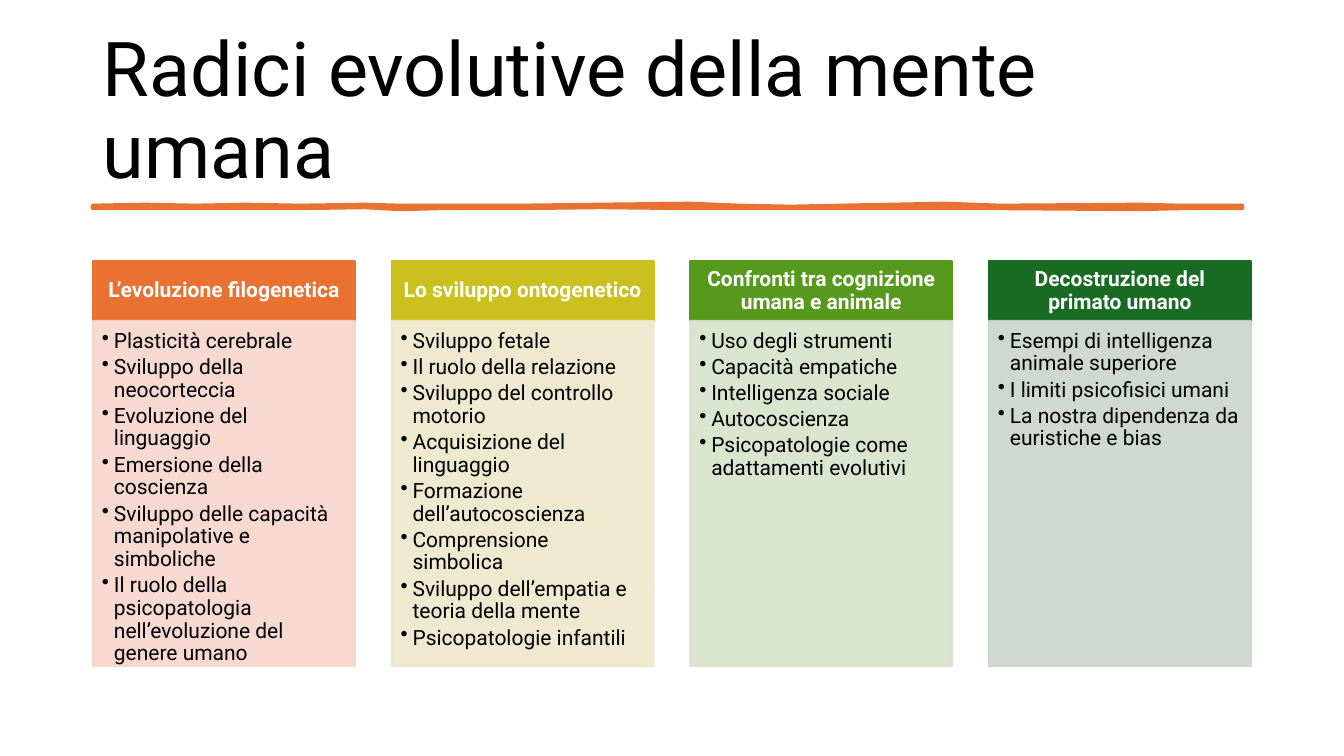
"""Build a slide on the evolutionary roots of the human mind in four columns."""
from lxml import etree
from pptx import Presentation
from pptx import util as u
from pptx.dml.color import RGBColor
from pptx.enum import shapes, text
from pptx.oxml.ns import qn

TITLE = "Radici evolutive della mente umana"
COLUMNS = [
    ("L’evoluzione filogenetica", "orange", [
        "Plasticità cerebrale",
        "Sviluppo della neocorteccia",
        "Evoluzione del linguaggio",
        "Emersione della coscienza",
        "Sviluppo delle capacità manipolative e simboliche",
        "Il ruolo della psicopatologia nell’evoluzione del genere umano",
    ]),
    ("Lo sviluppo ontogenetico", "yellow", [
        "Sviluppo fetale",
        "Il ruolo della relazione",
        "Sviluppo del controllo motorio",
        "Acquisizione del linguaggio",
        "Formazione dell’autocoscienza",
        "Comprensione simbolica",
        "Sviluppo dell’empatia e teoria della mente",
        "Psicopatologie infantili",
    ]),
    ("Confronti tra cognizione umana e animale", "green", [
        "Uso degli strumenti",
        "Capacità empatiche",
        "Intelligenza sociale",
        "Autocoscienza",
        "Psicopatologie come adattamenti evolutivi",
    ]),
    ("Decostruzione del primato umano", "forest", [
        "Esempi di intelligenza animale superiore",
        "I limiti psicofisici umani",
        "La nostra dipendenza da euristiche e bias",
    ]),
]
COLORS = {
    "black": "000000", "white": "FFFFFF",
    "orange": "E97132", "orange_tint": "F7D5CE",
    "yellow": "CBC11E", "yellow_tint": "EEE7CB",
    "green": "56991D", "green_tint": "D8E2CA",
    "forest": "196B24", "forest_tint": "CCD4CD",
}
BRUSH = [
    (93, 206, 208), (145, 205, 208), (195, 206, 208), (245, 205, 208),
    (300, 206, 208), (365, 205, 207), (400, 206, 209), (440, 206, 208),
    (520, 206, 208), (600, 205, 207), (690, 204, 208), (740, 206, 208),
    (790, 207, 208), (840, 206, 208), (945, 204, 208), (1000, 206, 208),
    (1140, 205, 209), (1180, 206, 208), (1242, 206, 208),
]

PX = 914400 / 100.8
LEFT, RIGHT, COLUMN_WIDTH = 93, 1251, 262
HEADER_TOP, HEADER_HEIGHT, BODY_HEIGHT = 261, 60, 345
BULLET_INDENT = 12
PITCH = (RIGHT - LEFT - COLUMN_WIDTH) / (len(COLUMNS) - 1)

TITLE_STYLE = dict(size=54, color="black", bold=False, margins=(10, 5, 10, 5),
                   anchor=text.MSO_ANCHOR.MIDDLE, align=text.PP_ALIGN.LEFT, after=0)
HEADER_STYLE = dict(size=15, color="white", bold=True, margins=(11, 7, 11, 7),
                    anchor=text.MSO_ANCHOR.MIDDLE, align=text.PP_ALIGN.CENTER, after=0)
BODY_STYLE = dict(size=15, color="black", bold=False, margins=(9, 9, 11, 13),
                  anchor=text.MSO_ANCHOR.TOP, align=text.PP_ALIGN.LEFT, after=2.5)


def emu(px):
    return u.Emu(round(px * PX))


def rgb(name):
    return RGBColor.from_string(COLORS[name])


def set_attributes(target, values):
    for name, value in values.items():
        setattr(target, name, value)


def write(shape, lines, style, bulleted=False):
    frame = shape.text_frame
    frame.text = "\n".join(lines)
    sides = ("margin_left", "margin_top", "margin_right", "margin_bottom")
    set_attributes(frame, dict(zip(sides, map(emu, style["margins"]))))
    set_attributes(frame, dict(word_wrap=True, vertical_anchor=style["anchor"]))
    for paragraph in frame.paragraphs:
        set_attributes(paragraph, dict(alignment=style["align"], line_spacing=0.9,
                                       space_after=u.Pt(style["after"])))
        font = paragraph.runs[0].font
        set_attributes(font, dict(name="Roboto", size=u.Pt(style["size"]), bold=style["bold"]))
        font.color.rgb = rgb(style["color"])
        if bulleted:
            properties = paragraph._p.get_or_add_pPr()
            properties.set("marL", str(emu(BULLET_INDENT)))
            properties.set("indent", str(-emu(BULLET_INDENT)))
            etree.SubElement(properties, qn("a:buChar"), char="•")


def paint(shape, color, line_width, opacity=100):
    shape.shadow.inherit = False
    shape.fill.solid()
    shape.fill.fore_color.rgb = rgb(color)
    shape.line.color.rgb = rgb(color)
    shape.line.width = u.Pt(line_width)
    if opacity < 100:
        for node in shape._element.spPr.iter(qn("a:srgbClr")):
            etree.SubElement(node, qn("a:alpha"), val=str(opacity * 1000))


def add_panel(slide, left, top, height, color, opacity=100):
    panel = slide.shapes.add_shape(shapes.MSO_SHAPE.RECTANGLE, emu(left), emu(top),
                                   emu(COLUMN_WIDTH), emu(height))
    paint(panel, color, 1.5, opacity)
    return panel


def add_brush_line(slide):
    upper = [(x, top) for x, top, bottom in BRUSH]
    lower = [(x, bottom) for x, top, bottom in reversed(BRUSH)]
    builder = slide.shapes.build_freeform(*upper[0], scale=PX)
    builder.add_line_segments(upper[1:] + lower, close=True)
    brush = builder.convert_to_shape()
    paint(brush, "orange", 3.25)
    etree.SubElement(brush.line._get_or_add_ln(), qn("a:round"))


def main():
    presentation = Presentation()
    set_attributes(presentation, dict(slide_width=emu(1344), slide_height=emu(756)))
    slide = presentation.slides.add_slide(presentation.slide_layouts[6])
    title = slide.shapes.add_textbox(emu(LEFT), emu(40), emu(1159), emu(146))
    write(title, [TITLE], TITLE_STYLE)
    add_brush_line(slide)
    for index, (heading, color, points) in enumerate(COLUMNS):
        left = LEFT + index * PITCH
        header = add_panel(slide, left, HEADER_TOP, HEADER_HEIGHT, color)
        write(header, [heading], HEADER_STYLE)
        body = add_panel(slide, left, HEADER_TOP + HEADER_HEIGHT, BODY_HEIGHT,
                         color + "_tint", opacity=90)
        write(body, points, BODY_STYLE, bulleted=True)
    presentation.save("out.pptx")


if __name__ == "__main__":
    main()
